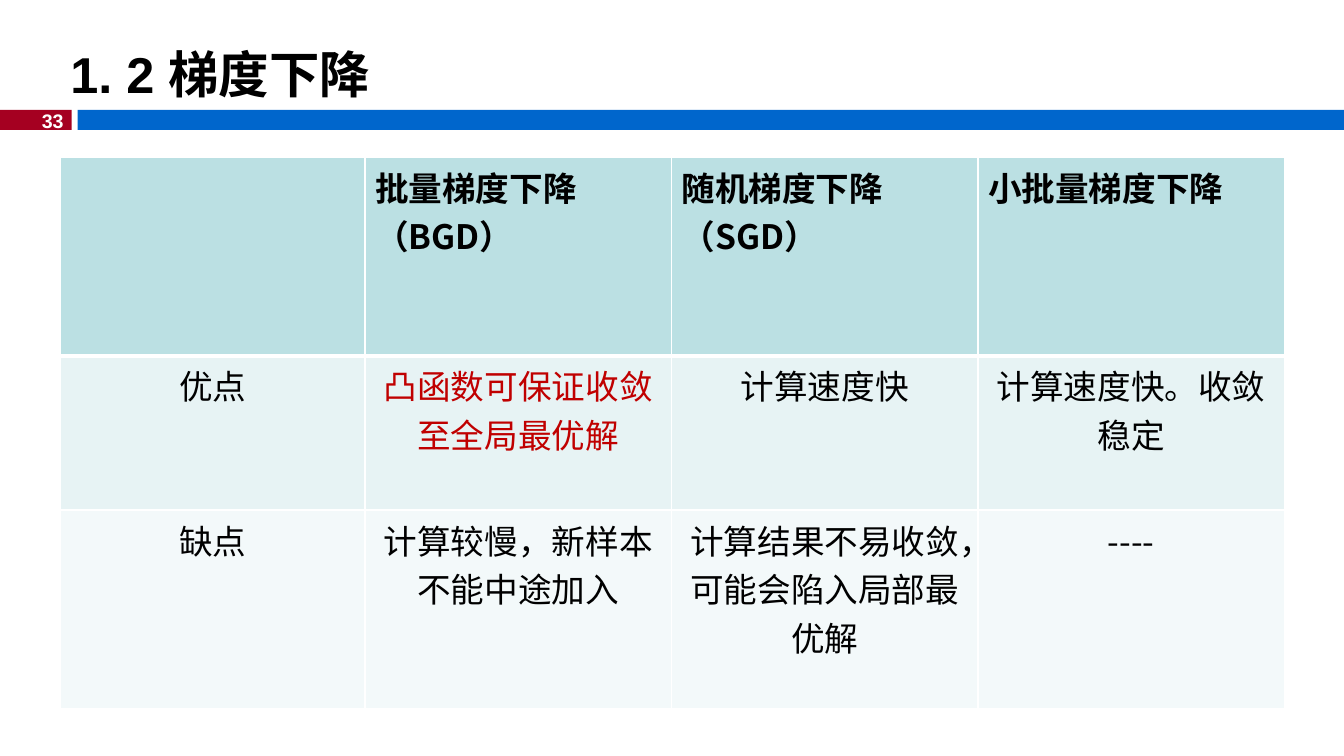
from lxml import etree
from pptx import Presentation
from pptx.dml.color import RGBColor
from pptx.enum.shapes import MSO_SHAPE as Shape
from pptx.enum.text import MSO_ANCHOR as Anchor, PP_ALIGN as Align
from pptx.oxml.ns import qn
from pptx.util import Inches, Pt

BLACK = RGBColor(0x00, 0x00, 0x00)
WHITE = RGBColor(0xFF, 0xFF, 0xFF)
CRIMSON = RGBColor(0xA5, 0x00, 0x21)
BLUE = RGBColor(0x00, 0x66, 0xCC)
RED = RGBColor(0xC0, 0x00, 0x00)
ROW_FILLS = [RGBColor(0xBB, 0xE0, 0xE3), RGBColor(0xE7, 0xF3, 0xF4),
             RGBColor(0xF3, 0xF9, 0xFA)]

LATIN_FONT = "Arial"
CHINESE_FONT = "Noto Sans CJK SC"
COLUMN_WIDTHS = [3.02, 3.04, 3.04, 3.04]
ROW_HEIGHTS = [1.97, 1.53, 1.97]
ROWS = [
    ["", "批量梯度下降（BGD）", "随机梯度下降（SGD）", "小批量梯度下降"],
    ["优点", "凸函数可保证收敛至全局最优解", "计算速度快", "计算速度快。收敛稳定"],
    ["缺点", "计算较慢，新样本不能中途加入", "计算结果不易收敛，可能会陷入局部最优解", "----"],
]
HIGHLIGHT = (1, 1)


def write(frame, text, size, font, color, bold=False, align=Align.LEFT):
    paragraph = frame.paragraphs[0]
    paragraph.alignment = align
    run = paragraph.add_run()
    run.text = text
    paragraph.font.size = Pt(size)
    paragraph.font.bold = bold
    paragraph.font.name = font
    paragraph.font.color.rgb = color
    # Chinese characters take their typeface from the run
    run.font.name = font
    east_asian = etree.SubElement(run.font._element, qn("a:ea"))
    east_asian.set("typeface", CHINESE_FONT)


def add_text(slide, left, top, width, height, text, size, color, align=Align.LEFT):
    box = slide.shapes.add_textbox(Inches(left), Inches(top), Inches(width), Inches(height))
    box.text_frame.word_wrap = True
    box.text_frame.vertical_anchor = Anchor.MIDDLE
    write(box.text_frame, text, size, LATIN_FONT, color, True, align)


def add_bar(slide, left, top, width, height, color):
    bar = slide.shapes.add_shape(Shape.RECTANGLE, Inches(left), Inches(top),
                                 Inches(width), Inches(height))
    bar.shadow.inherit = False
    bar.fill.solid()
    bar.fill.fore_color.rgb = color
    bar.line.fill.background()


def add_number_band(slide, left, top, width, height):
    number_width, gap = 0.71, 0.06
    bar_left = left + number_width + gap
    add_bar(slide, left, top, number_width, height, CRIMSON)
    add_bar(slide, bar_left, top, left + width - bar_left, height, BLUE)
    add_text(slide, left + 0.29, top - 0.06, 0.44, 0.34, "33", 14, WHITE, Align.RIGHT)


def set_borders(cell, bottom_width):
    properties = cell._tc.get_or_add_tcPr()
    widths = {"lnL": 1, "lnR": 1, "lnT": 1, "lnB": bottom_width}
    # Borders come before the fill
    for position, (side, width) in enumerate(widths.items()):
        line = etree.Element(qn(f"a:{side}"), w=str(Pt(width)))
        fill = etree.SubElement(line, qn("a:solidFill"))
        etree.SubElement(fill, qn("a:srgbClr"), val=str(WHITE))
        properties.insert(position, line)


def add_comparison_table(slide, left, top, width, height):
    table = slide.shapes.add_table(len(ROWS), len(COLUMN_WIDTHS), Inches(left), Inches(top),
                                   Inches(width), Inches(height)).table
    for column, column_width in zip(table.columns, COLUMN_WIDTHS):
        column.width = Inches(column_width)
    for r, texts in enumerate(ROWS):
        table.rows[r].height = Inches(ROW_HEIGHTS[r])
        is_header = r == 0
        for c, text in enumerate(texts):
            cell = table.cell(r, c)
            cell.fill.solid()
            cell.fill.fore_color.rgb = ROW_FILLS[r]
            set_borders(cell, 3 if is_header else 1)
            if text:
                write(cell.text_frame, text, 24, CHINESE_FONT,
                      RED if (r, c) == HIGHLIGHT else BLACK, is_header,
                      Align.LEFT if is_header else Align.CENTER)


def main():
    presentation = Presentation()
    presentation.slide_width = Inches(13.33)
    presentation.slide_height = Inches(7.5)
    slide = presentation.slides.add_slide(presentation.slide_layouts[6])
    # Page number band
    add_number_band(slide, 0, 1.09, 13.33, 0.2)
    # Comparison of the three methods
    add_comparison_table(slide, 0.6, 1.56, sum(COLUMN_WIDTHS), sum(ROW_HEIGHTS))
    # Title
    add_text(slide, 0.6, 0.07, 7.36, 1.31, "1. 2 梯度下降", 36, BLACK)
    presentation.save("out.pptx")


if __name__ == "__main__":
    main()
